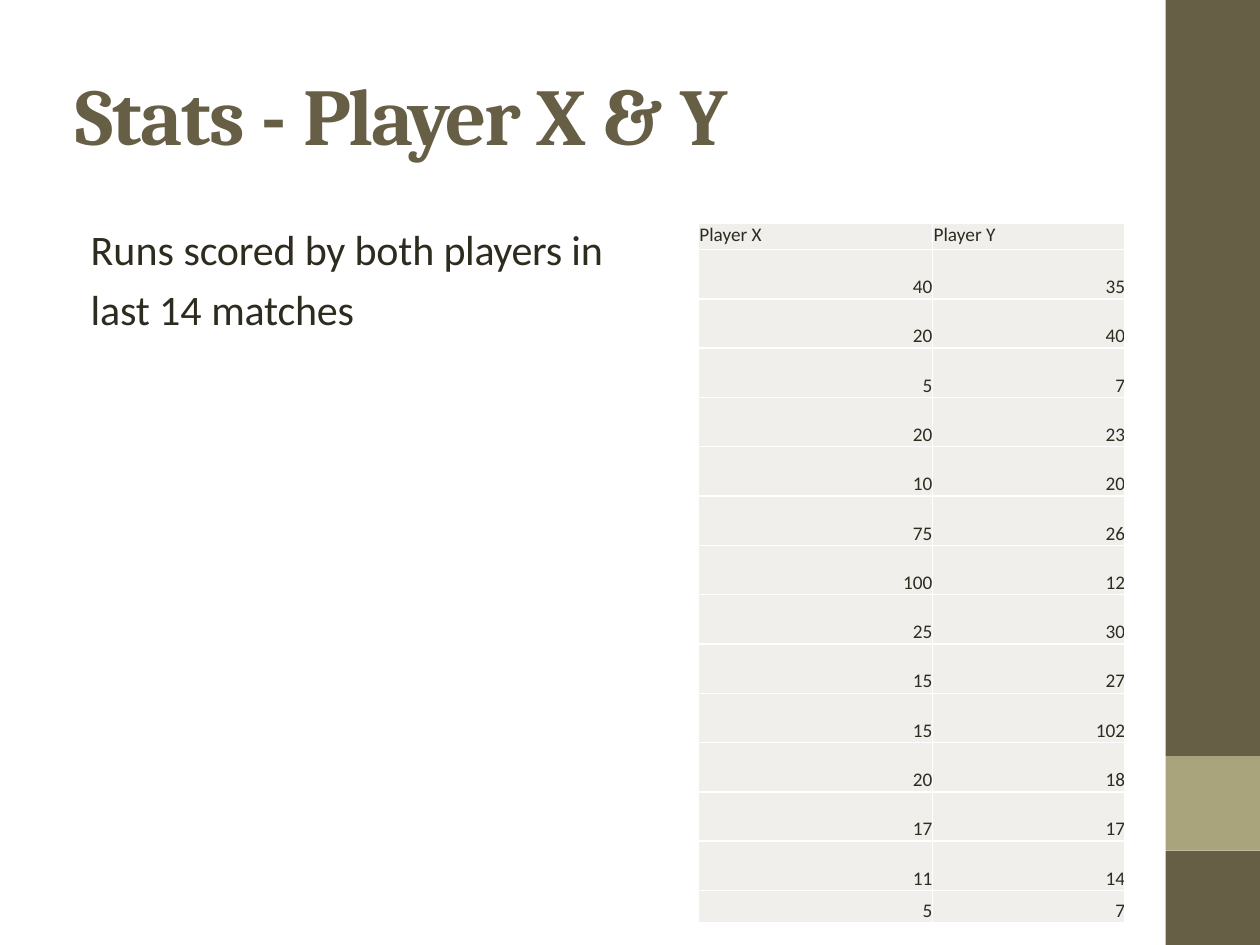
from typing import NamedTuple

from lxml.etree import SubElement
from pptx import Presentation
from pptx.dml.color import RGBColor
from pptx.enum.shapes import MSO_SHAPE
from pptx.enum.text import MSO_ANCHOR as ANCHOR, MSO_AUTO_SIZE, PP_ALIGN as ALIGN
from pptx.oxml.ns import qn
from pptx.util import Inches, Pt

BROWN, OLIVE, INK, PALE, WHITE = "675E46", "A9A47B", "2E2B1F", "F0EFEB", "FFFFFF"


class Band(NamedTuple):
    top: float
    height: float
    color: str


class Piece(NamedTuple):
    text: str
    tracking: float = 0


BANDS = [Band(0, 6, BROWN), Band(6.75, 0.75, BROWN), Band(6, 0.75, OLIVE)]
TITLE = [Piece("Stats ", -0.8), Piece("- ", -0.1), Piece("Player ", -1.4), Piece("X & Y", -0.1)]
BODY = [
    [Piece("Runs "), Piece("scored by both ", -0.1), Piece("players ", -0.2), Piece("in")],
    [Piece("last ", -0.1), Piece("14 "), Piece("matches", -0.1)],
]
PLAYER_X = [40, 20, 5, 20, 10, 75, 100, 25, 15, 15, 20, 17, 11, 5]
PLAYER_Y = [35, 40, 7, 23, 20, 26, 12, 30, 27, 102, 18, 17, 14, 7]
COL_WIDTHS = [1.86, 1.53]
TABLE_HEIGHT, HEADER_HEIGHT, LAST_HEIGHT = 5.56, 0.21, 0.26
ROW_HEIGHT = (TABLE_HEIGHT - HEADER_HEIGHT - LAST_HEIGHT) / (len(PLAYER_X) - 1)


def rgb(color: str) -> RGBColor:
    return RGBColor.from_string(color)


def write(p, pieces: list[Piece], *, size: float, font="Calibri", color=INK, bold=False,
          align=ALIGN.LEFT, before: float = 0, leading=None, indent: float = 0) -> None:
    """Fill one paragraph, without a bullet, with tracked runs of one format."""
    p.alignment, p.space_before, p.line_spacing = align, Pt(before), leading
    pPr = p._p.get_or_add_pPr()
    pPr.set("marL", str(Inches(indent)))
    pPr.set("indent", "0")
    SubElement(pPr, qn("a:buNone"))
    for piece in pieces:
        r = p.add_run()
        r.text = piece.text
        r.font.size, r.font.name, r.font.bold = Pt(size), font, bold
        r.font.color.rgb = rgb(color)
        if piece.tracking:
            r._r.get_or_add_rPr().set("spc", str(round(piece.tracking * 100)))


def place(sp, left: float, top: float, width: float, height: float, inset_top: float):
    """Move a placeholder and return its text frame, set to top with tight insets."""
    sp.left, sp.top, sp.width, sp.height = map(Inches, (left, top, width, height))
    tf = sp.text_frame
    tf.margin_left = tf.margin_right = tf.margin_bottom = 0
    tf.margin_top = Inches(inset_top)
    tf.vertical_anchor = ANCHOR.TOP
    tf.auto_size = MSO_AUTO_SIZE.NONE
    return tf


def add_band(slide, band: Band) -> None:
    s = slide.shapes.add_shape(MSO_SHAPE.RECTANGLE, Inches(9.25), Inches(band.top),
                               Inches(0.75), Inches(band.height))
    s.shadow.inherit = False
    s.fill.solid()
    s.fill.fore_color.rgb = rgb(band.color)
    s.line.fill.background()


def set_borders(cell, color: str, width: float) -> None:
    tcPr = cell._tc.get_or_add_tcPr()
    for i, side in enumerate(("lnL", "lnR", "lnT", "lnB")):
        ln = tcPr.makeelement(qn(f"a:{side}"), {"w": str(Pt(width))})
        fill = SubElement(ln, qn("a:solidFill"))
        SubElement(fill, qn("a:srgbClr"), val=color)
        tcPr.insert(i, ln)


def fill_cell(cell, text: str, is_header: bool) -> None:
    cell.margin_left = cell.margin_right = cell.margin_top = cell.margin_bottom = 0
    cell.vertical_anchor = ANCHOR.TOP if is_header else ANCHOR.BOTTOM
    cell.fill.solid()
    cell.fill.fore_color.rgb = rgb(PALE)
    set_borders(cell, WHITE, 1)
    if is_header:
        cell.margin_top = Inches(0.01)
    write(cell.text_frame.paragraphs[0], [Piece(text)], size=11, leading=Pt(12.8),
          align=ALIGN.LEFT if is_header else ALIGN.RIGHT,
          before=0.9 if is_header else 0, indent=0.01 if is_header else 0)


def add_scores(slide) -> None:
    rows = [("Player X", "Player Y"), *zip(PLAYER_X, PLAYER_Y)]
    heights = [HEADER_HEIGHT] + [ROW_HEIGHT] * (len(rows) - 2) + [LAST_HEIGHT]
    table = slide.shapes.add_table(len(rows), len(COL_WIDTHS), Inches(5.54), Inches(1.77),
                                   Inches(sum(COL_WIDTHS)), Inches(TABLE_HEIGHT)).table
    table.horz_banding = False
    for column, width in zip(table.columns, COL_WIDTHS):
        column.width = Inches(width)
    for i, (row, height) in enumerate(zip(rows, heights)):
        table.rows[i].height = Inches(height)
        for j, value in enumerate(row):
            fill_cell(table.cell(i, j), str(value), is_header=i == 0)


def main() -> None:
    prs = Presentation()
    prs.slide_width, prs.slide_height = Inches(10), Inches(7.5)
    slide = prs.slides.add_slide(prs.slide_layouts[1])
    for band in BANDS:
        add_band(slide, band)

    tf = place(slide.shapes.title, 0.59, 0.51, 5.23, 0.79, inset_top=0.01)
    tf.word_wrap = False
    write(tf.paragraphs[0], TITLE, size=46, font="Cambria", color=BROWN, bold=True,
          before=0.9, indent=0.01)

    tf = place(slide.placeholders[1], 0.71, 1.68, 4.13, 0.99, inset_top=0.09)
    tf.word_wrap = True
    for i, (line, before) in enumerate(zip(BODY, (6.8, 5.8))):
        p = tf.add_paragraph() if i else tf.paragraphs[0]
        write(p, line, size=24, before=before, indent=0.01)

    add_scores(slide)
    prs.save("out.pptx")


if __name__ == "__main__":
    main()
